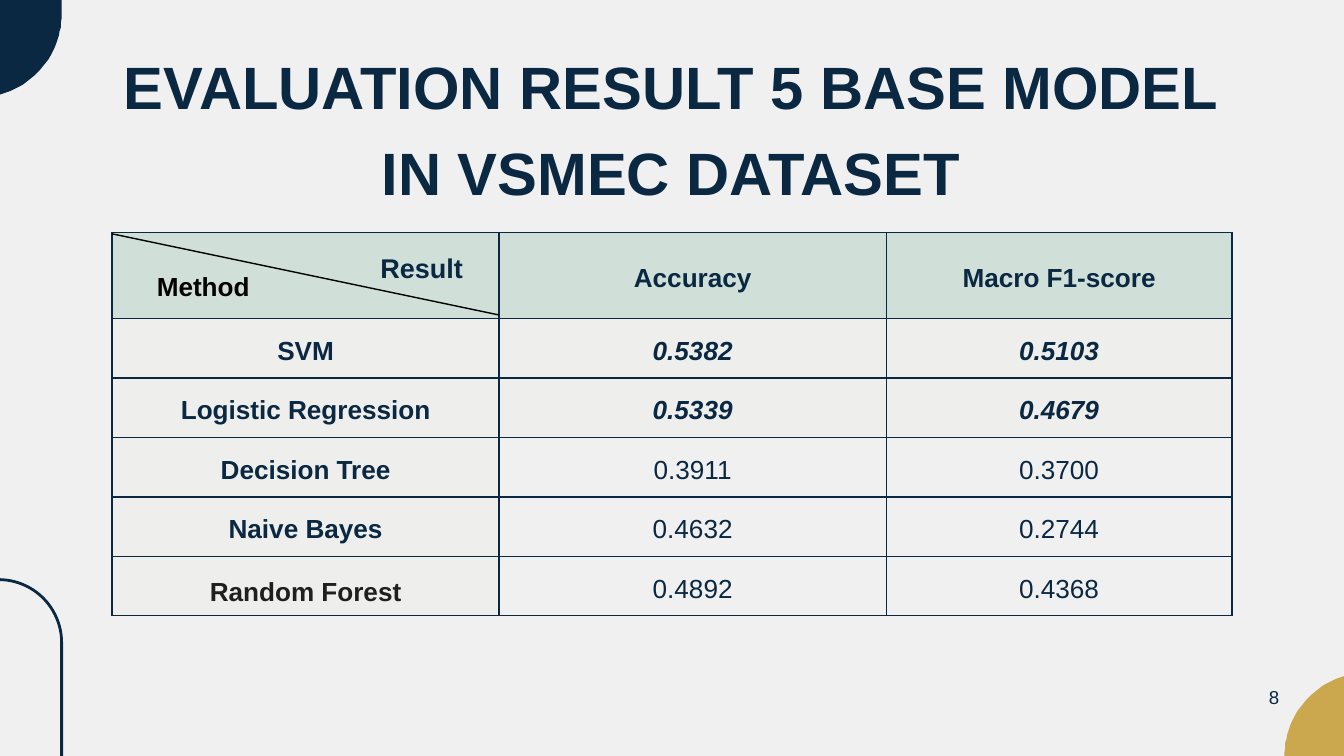
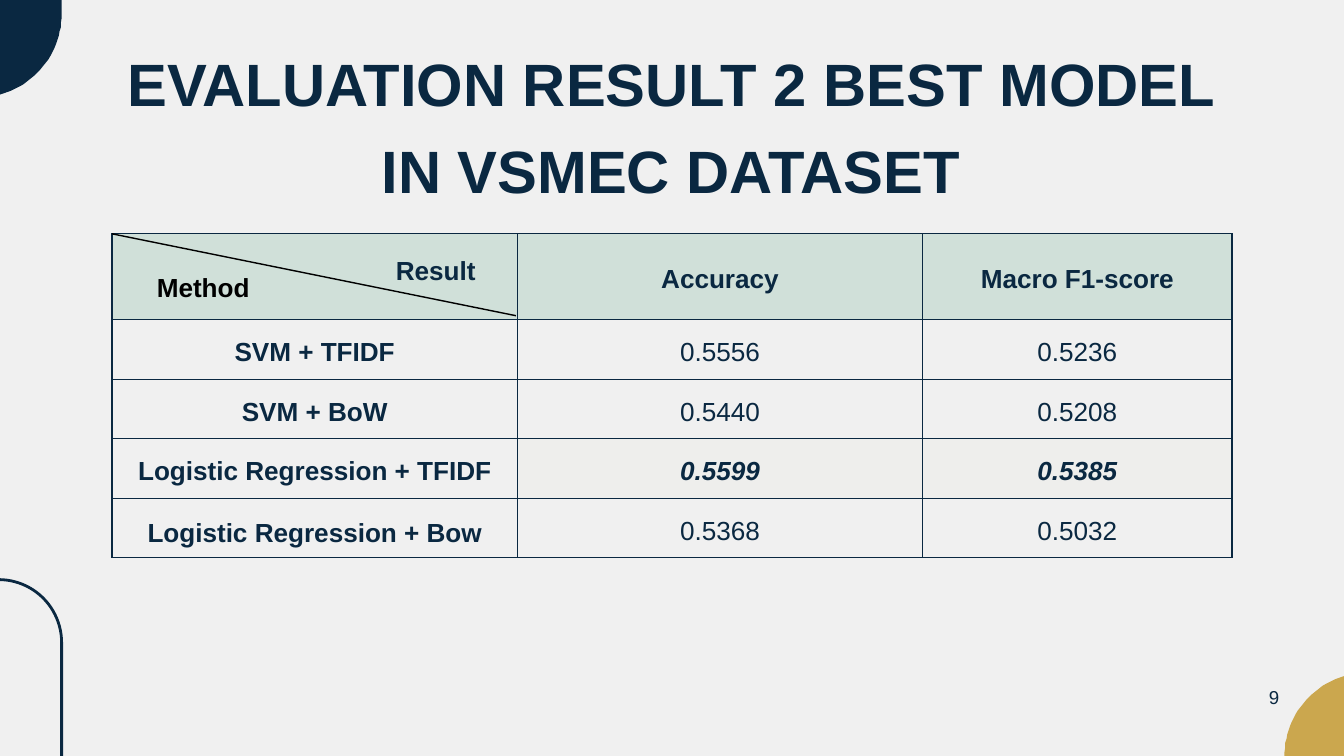
from math import cos, radians, sin

from lxml.etree import SubElement
from pptx import Presentation
from pptx.dml.color import RGBColor
from pptx.enum.shapes import MSO_CONNECTOR, MSO_SHAPE
from pptx.enum.text import MSO_ANCHOR, MSO_AUTO_SIZE, PP_ALIGN
from pptx.oxml.ns import qn
from pptx.util import Emu, Pt

NAVY = RGBColor(0x0A, 0x28, 0x41)
GOLD = RGBColor(0xCB, 0xA7, 0x4E)
MINT = RGBColor(0xD0, 0xE0, 0xD9)
PALE = RGBColor(0xEE, 0xEE, 0xEC)
PAPER = RGBColor(0xF0, 0xF0, 0xF0)
BLACK = RGBColor(0, 0, 0)
DARK = RGBColor(0x1F, 0x1F, 0x1F)

WIDE, HIGH = 1920, 1080
LEFT, SPAN = 160, 1600
HEAD_ROW, ROW = 123, 85


def px(value):
    return Emu(value * 9525)


class Deck:
    font = "Arial"
    size = 28

    def __init__(self):
        self.deck = Presentation()
        self.deck.slide_width, self.deck.slide_height = px(WIDE), px(HIGH)
        fill = self.deck.slide_master.background.fill
        fill.solid()
        fill.fore_color.rgb = PAPER

    def add(self, title, left, top, number):
        self.slide = self.deck.slides.add_slide(self.deck.slide_layouts[5])
        self.shapes = self.slide.shapes
        self.arch(-92, 828, 180, 763)
        self.wedge(-31, 20, 119, 0, NAVY, [(-31, -2), (88, -2)])
        self.wedge(1954, HIGH, 119, 180, GOLD, [(1954, HIGH)])
        self.title(title, left, top)
        self.text(number, 1812, 967, 16, 21, 20, bold=False)

    def place(self, shape, left, top, width, height):
        shape.left, shape.top = px(left), px(top)
        shape.width, shape.height = px(width), px(height)

    def label(self, frame, text, size=size, color=NAVY, bold=True,
              italic=False, space=1.2, align=PP_ALIGN.CENTER):
        para = frame.paragraphs[0]
        para.text = text
        para.alignment = align
        para.line_spacing = space
        font = para.font
        font.name, font.size = self.font, Pt(size)
        font.bold, font.italic = bold, italic
        font.color.rgb = color

    def trim(self, frame):
        frame.margin_left = frame.margin_right = 0
        frame.margin_top = frame.margin_bottom = 0
        frame.word_wrap = True
        frame.auto_size = MSO_AUTO_SIZE.NONE
        frame.vertical_anchor = MSO_ANCHOR.TOP

    def title(self, text, left, top):
        shape = self.shapes.title
        self.place(shape, left, top, WIDE - 2 * left - 4, 207)
        self.trim(shape.text_frame)
        self.label(shape.text_frame, text, 64)

    def text(self, text, left, top, width, height, size, bold=True):
        box = self.shapes.add_textbox(px(left), px(top), px(width), px(height))
        self.trim(box.text_frame)
        self.label(box.text_frame, text, size, bold=bold, space=1.4)

    def arch(self, left, top, width, height):
        shape = self.shapes.add_shape(MSO_SHAPE.ROUNDED_RECTANGLE, px(left),
                                      px(top), px(width), px(height))
        shape.adjustments[0] = 0.5
        shape.shadow.inherit = False
        shape.fill.background()
        shape.line.color.rgb = NAVY
        shape.line.width = px(4)

    def wedge(self, x, y, radius, start, color, corners):
        arc = [(x + radius * cos(radians(start + step)),
                y + radius * sin(radians(start + step)))
               for step in range(0, 91, 3)]
        form = self.shapes.build_freeform(*arc[0], scale=9525)
        form.add_line_segments(arc[1:] + corners, close=True)
        shape = form.convert_to_shape()
        shape.shadow.inherit = False
        shape.fill.solid()
        shape.fill.fore_color.rgb = color
        shape.line.fill.background()

    def line(self, x1, y1, x2, y2):
        line = self.shapes.add_connector(MSO_CONNECTOR.STRAIGHT, px(x1),
                                         px(y1), px(x2), px(y2))
        line.line.color.rgb = BLACK
        line.line.width = Pt(1.5)
        SubElement(line._element.spPr, qn("a:effectLst"))

    def cell(self, cell, text, fill=None, **style):
        cell.margin_left = cell.margin_right = px(2)
        cell.margin_top = cell.margin_bottom = px(2)
        cell.vertical_anchor = MSO_ANCHOR.MIDDLE
        props = cell._tc.get_or_add_tcPr()
        for side in ("lnL", "lnR", "lnT", "lnB"):
            edge = SubElement(props, qn("a:" + side), w=str(Pt(1.5)))
            solid = SubElement(edge, qn("a:solidFill"))
            SubElement(solid, qn("a:srgbClr"), val=str(NAVY))
        if fill is None:
            cell.fill.background()
        else:
            cell.fill.solid()
            cell.fill.fore_color.rgb = fill
        self.label(cell.text_frame, text, **style)

    def table(self, top, width, rows, best, side=None, last=NAVY):
        high = HEAD_ROW + ROW * len(rows)
        frame = self.shapes.add_table(len(rows) + 1, 3, px(LEFT), px(top),
                                      px(SPAN), px(high))
        grid = frame.table
        grid.first_row = grid.horz_banding = False
        for col, size in zip(grid.columns, (width, width, SPAN - 2 * width)):
            col.width = px(size)
        for index, row in enumerate(grid.rows):
            row.height = px(ROW if index else HEAD_ROW)
        corner = grid.cell(0, 0)
        self.cell(corner, "Method", MINT, color=BLACK, align=PP_ALIGN.LEFT)
        corner.margin_left, corner.margin_bottom = px(64), px(24)
        corner.vertical_anchor = MSO_ANCHOR.BOTTOM
        for col, name in enumerate(("Accuracy", "Macro F1-score"), 1):
            self.cell(grid.cell(0, col), name, MINT)
        for index, (name, *scores) in enumerate(rows, 1):
            end = index == len(rows)
            self.cell(grid.cell(index, 0), name, side,
                      color=last if end else NAVY, space=1.4 if end else 1.2)
            top_score = name in best
            for col, score in enumerate(scores, 1):
                self.cell(grid.cell(index, col), score,
                          PALE if top_score else None,
                          bold=top_score, italic=top_score)


def main():
    deck = Deck()

    deck.add("EVALUATION RESULT 5 BASE MODEL IN VSMEC DATASET", 162, 51, "8")
    deck.table(332, 553, [
        ("SVM", "0.5382", "0.5103"),
        ("Logistic Regression", "0.5339", "0.4679"),
        ("Decision Tree", "0.3911", "0.3700"),
        ("Naive Bayes", "0.4632", "0.2744"),
        ("Random Forest", "0.4892", "0.4368"),
    ], ("SVM", "Logistic Regression"), PALE, DARK)
    deck.line(LEFT, 334, 713, 450)
    deck.text("Result", 334, 340, 537, 53, 29)

    deck.add("EVALUATION RESULT 2 BEST MODEL IN VSMEC DATASET", 156, 47, "9")
    deck.table(334, 579, [
        ("SVM + TFIDF", "0.5556", "0.5236"),
        ("SVM + BoW", "0.5440", "0.5208"),
        ("Logistic Regression + TFIDF", "0.5599", "0.5385"),
        ("Logistic Regression + Bow", "0.5368", "0.5032"),
    ], ("Logistic Regression + TFIDF",))
    deck.line(LEFT, 334, 737, 451)
    deck.text("Result", 354, 345, 537, 53, 28)

    deck.deck.save("out.pptx")


if __name__ == "__main__":
    main()
